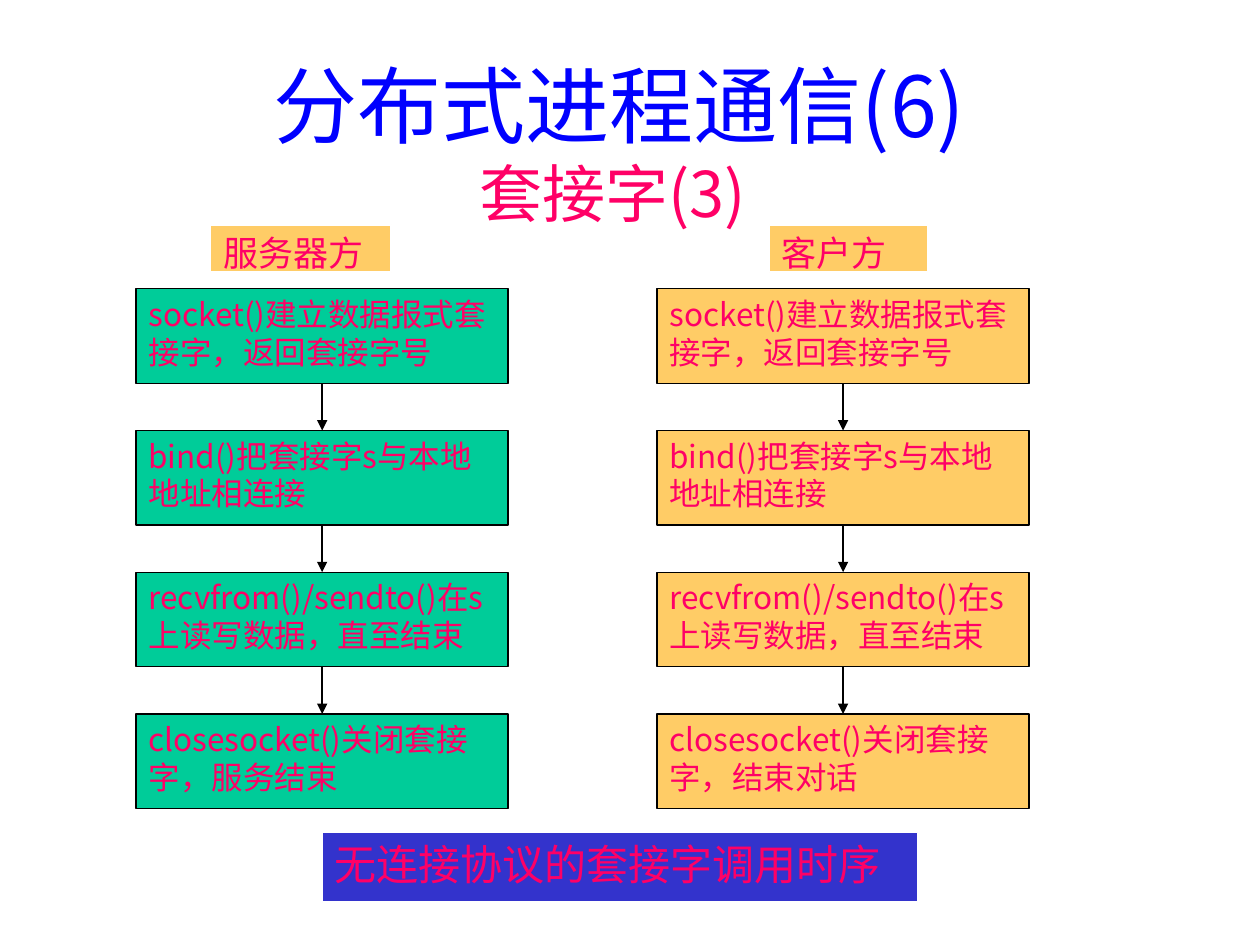
from dataclasses import dataclass

from lxml import etree
from pptx import Presentation
from pptx.dml.color import RGBColor
from pptx.enum.shapes import MSO_CONNECTOR, MSO_SHAPE
from pptx.enum.text import MSO_ANCHOR, MSO_AUTO_SIZE, PP_ALIGN
from pptx.oxml.ns import qn
from pptx.util import Pt

STRAIGHT = MSO_CONNECTOR.STRAIGHT
RECTANGLE = MSO_SHAPE.RECTANGLE
TOP, MIDDLE = MSO_ANCHOR.TOP, MSO_ANCHOR.MIDDLE
NO_AUTOFIT = MSO_AUTO_SIZE.NONE
LEFT, CENTER = PP_ALIGN.LEFT, PP_ALIGN.CENTER


@dataclass(frozen=True)
class Theme:
    """Colours, type sizes and font of the slide."""
    font: str = "Noto Sans CJK JP"
    blue: str = "0000FF"
    pink: str = "FF0066"
    green: str = "00CC99"
    orange: str = "FFCC66"
    indigo: str = "3333CC"
    black: str = "000000"
    white: str = "FFFFFF"
    title: int = 48
    subtitle: int = 36
    caption: int = 24
    heading: int = 20
    step: int = 18


THEME = Theme()
STEP_TOP, STEP_PITCH = 165, 81
STEP_WIDTH, STEP_HEIGHT = 212.6, 54
SHARED_STEPS = [
    "socket()建立数据报式套接字，返回套接字号",
    "bind()把套接字s与本地地址相连接",
    "recvfrom()/sendto()在s上读写数据，直至结束",
]


def apply_format(target, values):
    """Set each named attribute on the target."""
    for name, value in values.items():
        setattr(target, name, value)


def add_text(paragraph, text, size, color):
    """Append a run in the slide font for Latin and East Asian text."""
    run = paragraph.add_run()
    run.text = text
    apply_format(run.font, {"name": THEME.font, "size": Pt(size)})
    run.font.color.rgb = RGBColor.from_string(color)
    etree.SubElement(run.font._element, qn("a:ea"), typeface=THEME.font)


def add_title(slide, heading, subheading):
    """Fill the title placeholder with two centred lines."""
    title = slide.shapes.title
    apply_format(title, {"left": Pt(48), "top": Pt(36),
                         "width": Pt(612), "height": Pt(90)})
    apply_format(title.text_frame, {"auto_size": NO_AUTOFIT, "word_wrap": True,
                                    "vertical_anchor": MIDDLE})
    paragraph = title.text_frame.paragraphs[0]
    paragraph.alignment = CENTER
    add_text(paragraph, heading, THEME.title, THEME.blue)
    paragraph.add_line_break()
    add_text(paragraph, subheading, THEME.subtitle, THEME.pink)


def add_box(slide, bounds, text, size, fill, outline):
    """Add a filled rectangle with left-aligned text and return it."""
    box = slide.shapes.add_shape(RECTANGLE, *map(Pt, bounds))
    box.shadow.inherit = False
    box.fill.solid()
    box.fill.fore_color.rgb = RGBColor.from_string(fill)
    box.line.color.rgb = RGBColor.from_string(outline)
    box.line.width = Pt(0.75)
    apply_format(box.text_frame, {"word_wrap": True, "vertical_anchor": TOP})
    paragraph = box.text_frame.paragraphs[0]
    paragraph.alignment = LEFT
    add_text(paragraph, text, size, THEME.pink)
    return box


def add_arrow(slide, upper, lower):
    """Connect the bottom of one box to the top of the next."""
    arrow = slide.shapes.add_connector(STRAIGHT, 0, 0, 0, 0)
    arrow.begin_connect(upper, 2)
    arrow.end_connect(lower, 0)
    arrow.line.color.rgb = RGBColor.from_string(THEME.black)
    arrow.line.width = Pt(0.75)
    etree.SubElement(arrow.line._get_or_add_ln(), qn("a:tailEnd"), type="triangle")
    etree.SubElement(arrow._element.spPr, qn("a:effectLst"))


def add_sequence(slide, left, fill, steps):
    """Stack the steps of one side and join them with arrows."""
    boxes = [
        add_box(slide, (left, STEP_TOP + row * STEP_PITCH, STEP_WIDTH, STEP_HEIGHT),
                step, THEME.step, fill, THEME.black)
        for row, step in enumerate(steps)
    ]
    for upper, lower in zip(boxes, boxes[1:]):
        add_arrow(slide, upper, lower)


def main():
    """Build and save the slide."""
    deck = Presentation()
    apply_format(deck, {"slide_width": Pt(720), "slide_height": Pt(540)})
    slide = deck.slides.add_slide(deck.slide_layouts[5])
    add_title(slide, "分布式进程通信(6)", "套接字(3) ")
    sides = [
        ("服务器方", 120.5, 103, 77.8, THEME.green, "closesocket()关闭套接字，服务结束"),
        ("客户方", 439.5, 90.5, 375.5, THEME.orange, "closesocket()关闭套接字，结束对话"),
    ]
    for heading, heading_left, heading_width, left, fill, last_step in sides:
        add_box(slide, (heading_left, 128.5, heading_width, 27), heading,
                THEME.heading, THEME.orange, THEME.white)
        add_sequence(slide, left, fill, SHARED_STEPS + [last_step])
    add_box(slide, (184.3, 475.5, 340, 40), "无连接协议的套接字调用时序",
            THEME.caption, THEME.indigo, THEME.white)
    deck.save("out.pptx")


if __name__ == "__main__":
    main()
